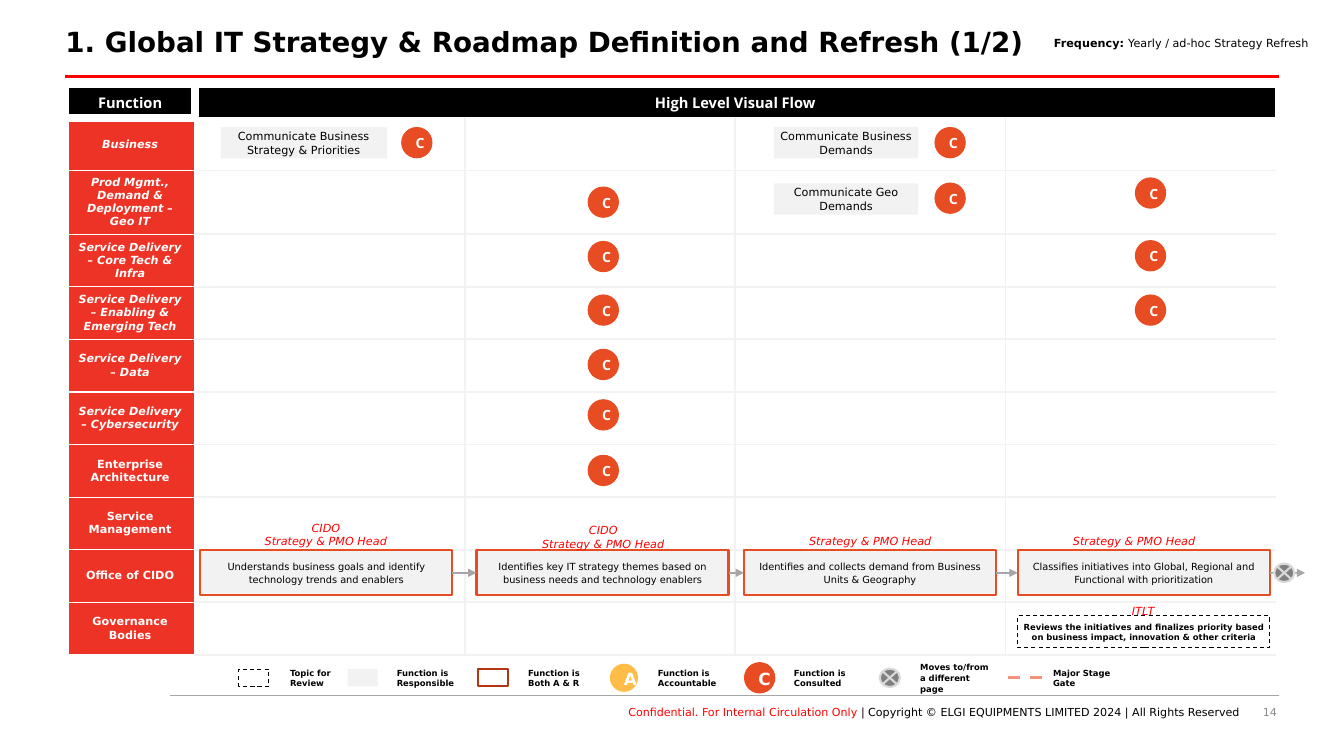
from pptx import Presentation
from pptx.dml.color import RGBColor
from pptx.enum.dml import MSO_LINE
from pptx.enum.shapes import MSO_CONNECTOR, MSO_SHAPE
from pptx.enum.text import MSO_ANCHOR, PP_ALIGN
from pptx.oxml import parse_xml
from pptx.oxml.ns import nsdecls, qn
from pptx.util import Cm, Pt

# Content (positions in centimetres)
TITLE = "1. Global IT Strategy & Roadmap Definition and Refresh (1/2)"
FREQUENCY = ("Frequency: ", "Yearly / ad-hoc Strategy Refresh")
FOOTER = ("Conﬁdential. For Internal Circulation Only ",
          "| Copyright © ELGI EQUIPMENTS LIMITED 2024 | All Rights Reserved")
PAGE_NUMBER = "14"
HEADINGS = ("Function", "High Level Visual Flow")
FUNCTIONS = [
    "Business", "Prod Mgmt., Demand & Deployment – Geo IT",
    "Service Delivery – Core Tech & Infra",
    "Service Delivery – Enabling & Emerging Tech",
    "Service Delivery – Data", "Service Delivery – Cybersecurity",
    "Enterprise Architecture", "Service Management", "Office of CIDO",
    "Governance Bodies",
]
ITALIC_FUNCTIONS = 6
STEPS = [  # left, text
    (5.05, "Understands business goals and identify technology trends and enablers"),
    (12.01, "Identifies key IT strategy themes based on business needs and technology enablers"),
    (18.75, "Identifies and collects demand from Business Units & Geography"),
    (25.65, "Classifies initiatives into Global, Regional and Functional with prioritization"),
]
OWNERS = [  # left, top, width, lines
    (6.4, 13, 3.63, ["CIDO", "Strategy & PMO Head"]),
    (13.39, 13.06, 3.63, ["CIDO", "Strategy & PMO Head"]),
    (20.12, 13.34, 3.63, ["Strategy & PMO Head"]),
    (26.77, 13.34, 3.63, ["Strategy & PMO Head"]),
    (28.24, 15.09, 1.14, ["ITLT"]),
]
INPUTS = [  # left, top, width, text
    (5.56, 3.2, 4.19, "Communicate Business Strategy & Priorities"),
    (19.51, 3.2, 3.63, "Communicate Business Demands"),
    (19.51, 4.62, 3.63, "Communicate Geo Demands"),
]
CONSULTED = {  # left: tops
    10.11: [3.2],
    14.81: [4.7, 6.07, 7.42, 8.79, 10.06, 11.46],
    23.55: [3.2, 4.6],
    28.6: [4.47, 6.05, 7.42],
}
REVIEW = "Reviews the initiatives and finalizes priority based on business impact, innovation & other criteria"
RECT, OVAL = MSO_SHAPE.RECTANGLE, MSO_SHAPE.OVAL
JUNCTION = MSO_SHAPE.FLOWCHART_SUMMING_JUNCTION
LEGEND = [  # shape, left, width, height, fill, outline, letter, label left, label lines
    (RECT, 6.02, 0.76, 0.43, None, ("000000", 0.75, True), "", 7.06, ["Topic for", "Review"]),
    (RECT, 8.76, 0.76, 0.43, "F2F2F2", None, "", 9.75, ["Function is Responsible"]),
    (RECT, 12.04, 0.76, 0.43, None, ("B53513", 1.5), "", 13.06, ["Function is Both A & R"]),
    (OVAL, 15.37, 0.71, 0.71, "FFBD47", None, "A", 16.33, ["Function is Accountable"]),
    (OVAL, 18.75, 0.79, 0.79, "E84C22", None, "C", 19.76, ["Function is Consulted"]),
    (JUNCTION, 22.17, 0.51, 0.46, "808080", ("D9D9D9", 1.5), "", 22.94,
     ["Moves to/from a different page"]),
]
STAGE_GATE = "Major Stage Gate"

# Sizes
TABLE_LEFT, TABLE_TOP, TABLE_HEIGHT = 1.65, 2.21, 14.27
COLUMN_WIDTHS = [3.26] + [6.81] * 4
HEADER_HEIGHT, TALL_ROW = 0.76, 1.58
STEP_TOP, STEP_WIDTH, STEP_HEIGHT = 13.87, 6.35, 1.13
STEP_MIDDLE = STEP_TOP + STEP_HEIGHT / 2
CIRCLE, LEGEND_MIDDLE = 0.79, 17.08
ROUND_INSETS, BOX_INSETS = (0.25,) * 4, (0.13, 0, 0.13, 0)
DEFAULT_INSETS = (0.25, 0.13, 0.25, 0.13)
CENTER, MIDDLE = PP_ALIGN.CENTER, MSO_ANCHOR.MIDDLE

presentation = Presentation()
presentation.slide_width, presentation.slide_height = Cm(33.87), Cm(19.05)
slide = presentation.slides.add_slide(presentation.slide_layouts[6])


def color(value):
    return RGBColor.from_string(value)


def style(size, ink="000000", name="DejaVu Sans", **more):
    return dict(size=Pt(size), name=name, ink=ink, **more)


def write(frame, lines, align=PP_ALIGN.LEFT, spacing=None):
    """Each line is a list of (text, format) runs."""
    for index, runs in enumerate(lines):
        paragraph = frame.paragraphs[0] if index == 0 else frame.add_paragraph()
        paragraph.alignment, paragraph.line_spacing = align, spacing
        for text, values in runs:
            run = paragraph.add_run()
            run.text = text
            for key, value in values.items():
                if key == "ink":
                    run.font.color.rgb = color(value)
                else:
                    setattr(run.font, key, value)


def set_frame(frame, insets, anchor, wrap=True):
    left, top, right, bottom = map(Cm, insets)
    values = dict(margin_left=left, margin_top=top, margin_right=right,
                  margin_bottom=bottom, vertical_anchor=anchor, word_wrap=wrap)
    for key, value in values.items():
        setattr(frame, key, value)


def add_text(box, lines, insets=DEFAULT_INSETS, anchor=MSO_ANCHOR.TOP, wrap=True, **layout):
    frame = slide.shapes.add_textbox(*map(Cm, box)).text_frame
    set_frame(frame, insets, anchor, wrap)
    write(frame, lines, **layout)


def set_line(line, ink, width, dashed=False):
    line.color.rgb, line.width = color(ink), Pt(width)
    if dashed:
        line.dash_style = MSO_LINE.DASH


def add_box(kind, box, fill=None, outline=None, text="", values=None, insets=BOX_INSETS):
    shape = slide.shapes.add_shape(kind, *map(Cm, box))
    shape.shadow.inherit = False
    if fill:
        shape.fill.solid()
        shape.fill.fore_color.rgb = color(fill)
    else:
        shape.fill.background()
    if outline:
        set_line(shape.line, *outline)
    else:
        shape.line.fill.background()
    if text:
        set_frame(shape.text_frame, insets, MIDDLE)
        write(shape.text_frame, [[(text, values)]], CENTER, 1.06)
    return shape


def add_line(left, right, y, *look, arrow=False):
    line = slide.shapes.add_connector(MSO_CONNECTOR.STRAIGHT, Cm(left), Cm(y), Cm(right), Cm(y))
    set_line(line.line, *look)
    properties = line._element.spPr
    if arrow:
        properties.find(qn("a:ln")).append(parse_xml(f'<a:tailEnd {nsdecls("a")} type="triangle"/>'))
    properties.append(parse_xml(f'<a:effectLst {nsdecls("a")}/>'))
    return line


def set_cell(cell, fill, borders, text="", values=None):
    for side in "LRTB":
        if side in borders:
            ink, width = borders[side]
            cell._tc.get_or_add_tcPr().append(parse_xml(
                f'<a:ln{side} {nsdecls("a")} w="{Pt(width)}"><a:solidFill>'
                f'<a:srgbClr val="{ink}"/></a:solidFill></a:ln{side}>'))
    if fill:
        cell.fill.solid()
        cell.fill.fore_color.rgb = color(fill)
    else:
        cell.fill.background()
    cell.vertical_anchor = MIDDLE
    if text:
        write(cell.text_frame, [[(text, values)]], CENTER)


# Footer, rules and title
small = style(7.9, "8C8C8C")
add_text((24.56, 17.78, 7.62, 0.51), [[(PAGE_NUMBER, small)]], (0,) * 4, align=PP_ALIGN.RIGHT)
add_text((6.25, 17.78, 24.99, 0.51),
         [[(FOOTER[0], style(7.9, "FF0000")), (FOOTER[1], style(7.9))]],
         (0,) * 4, align=PP_ALIGN.RIGHT)
add_line(4.29, 32.23, 17.53, "A6A6A6", 0.5)
add_line(1.63, 32.23, 1.93, "FF0000", 2.25)
add_text((1.65, 0.58, 30.5, 1.04), [[(TITLE, style(19.8, bold=True))]],
         (0, 0.13, 0.25, 0.13), spacing=0.9)
add_text((26.31, 0.79, 7.54, 0.61),
         [[(FREQUENCY[0], style(8, bold=True)), (FREQUENCY[1], style(8))]])

# Function table
row_height = (TABLE_HEIGHT - HEADER_HEIGHT - TALL_ROW) / (len(FUNCTIONS) - 1)
table = slide.shapes.add_table(len(FUNCTIONS) + 1, len(COLUMN_WIDTHS), Cm(TABLE_LEFT), Cm(TABLE_TOP),
                               Cm(sum(COLUMN_WIDTHS)), Cm(TABLE_HEIGHT)).table
table.first_row = table.horz_banding = False
for column, width in zip(table.columns, COLUMN_WIDTHS):
    column.width = Cm(width)
for index, row in enumerate(table.rows):
    row.height = Cm({0: HEADER_HEIGHT, 2: TALL_ROW}.get(index, row_height))
thick, thin, grid = ("FFFFFF", 6), ("FFFFFF", 1), ("F2F2F2", 1.5)
heading = style(10.5, "FFFFFF", "Open Sans", bold=True)
table.cell(0, 1).merge(table.cell(0, 4))
set_cell(table.cell(0, 0), "000000", dict(L=thick, T=thin, R=thick, B=thick), HEADINGS[0], heading)
set_cell(table.cell(0, 1), "000000", dict(L=thick, T=thin), HEADINGS[1], heading)
for row, name in enumerate(FUNCTIONS, 1):
    label = style(8, "FFFFFF", bold=True, italic=row <= ITALIC_FUNCTIONS)
    set_cell(table.cell(row, 0), "ED3326", dict(L=thick, T=thick if row == 1 else thin, B=thin), name, label)
    for column in range(1, 5):
        borders = dict(B=grid)
        if row > 1:
            borders["T"] = grid
        if column > 1:
            borders["L"] = grid
        if column < 4:
            borders["R"] = grid
        set_cell(table.cell(row, column), None, borders)

# Process steps and arrows
steps = [add_box(RECT, (left, STEP_TOP, STEP_WIDTH, STEP_HEIGHT), "F2F2F2", ("E84C22", 1.5), text, style(7))
         for left, text in STEPS]
arrow_ends = [left for left, _ in STEPS[1:]] + [32.89]
for index, (step, (left, _), end) in enumerate(zip(steps, STEPS, arrow_ends)):
    arrow = add_line(left + STEP_WIDTH, end, STEP_MIDDLE, "A6A6A6", 1, arrow=True)
    arrow.begin_connect(step, 3)
    if index + 1 < len(steps):
        arrow.end_connect(steps[index + 1], 1)
add_box(JUNCTION, (32.11, STEP_MIDDLE - 0.23, 0.51, 0.46), "808080", ("D9D9D9", 1.5))

# Inputs, review and consulted marks
for left, top, width, text in INPUTS:
    add_box(RECT, (left, top, width, CIRCLE), "F2F2F2", None, text, style(8))
add_box(RECT, (STEPS[-1][0], 15.52, STEP_WIDTH, 0.81), "FFFFFF", ("000000", 0.75, True),
        REVIEW, style(6, bold=True))
for left, tops in CONSULTED.items():
    for top in tops:
        add_box(OVAL, (left, top, CIRCLE, CIRCLE), "E84C22", None, "C",
                style(10, "FFFFFF", "Open Sans", bold=True), ROUND_INSETS)
for left, top, width, lines in OWNERS:
    add_text((left, top, width, 0.61 if len(lines) == 1 else 0.94),
             [[(line, style(8, "FF0000", italic=True))] for line in lines], wrap=False, align=CENTER)


# Legend
def add_legend_label(left, lines):
    add_text((left, 16.66, 2.29, 0.84), [[(line, style(6, bold=True))] for line in lines],
             ROUND_INSETS, MIDDLE, spacing=1.06)


for kind, left, width, height, fill, outline, letter, label_left, lines in LEGEND:
    add_box(kind, (left, LEGEND_MIDDLE - height / 2, width, height), fill, outline, letter,
            style(12, "FFFFFF", bold=True), ROUND_INSETS)
    add_legend_label(label_left, lines)
add_line(25.4, 26.29, LEGEND_MIDDLE, "F1947A", 2.25, True)
add_legend_label(26.29, [STAGE_GATE])

presentation.save("out.pptx")
